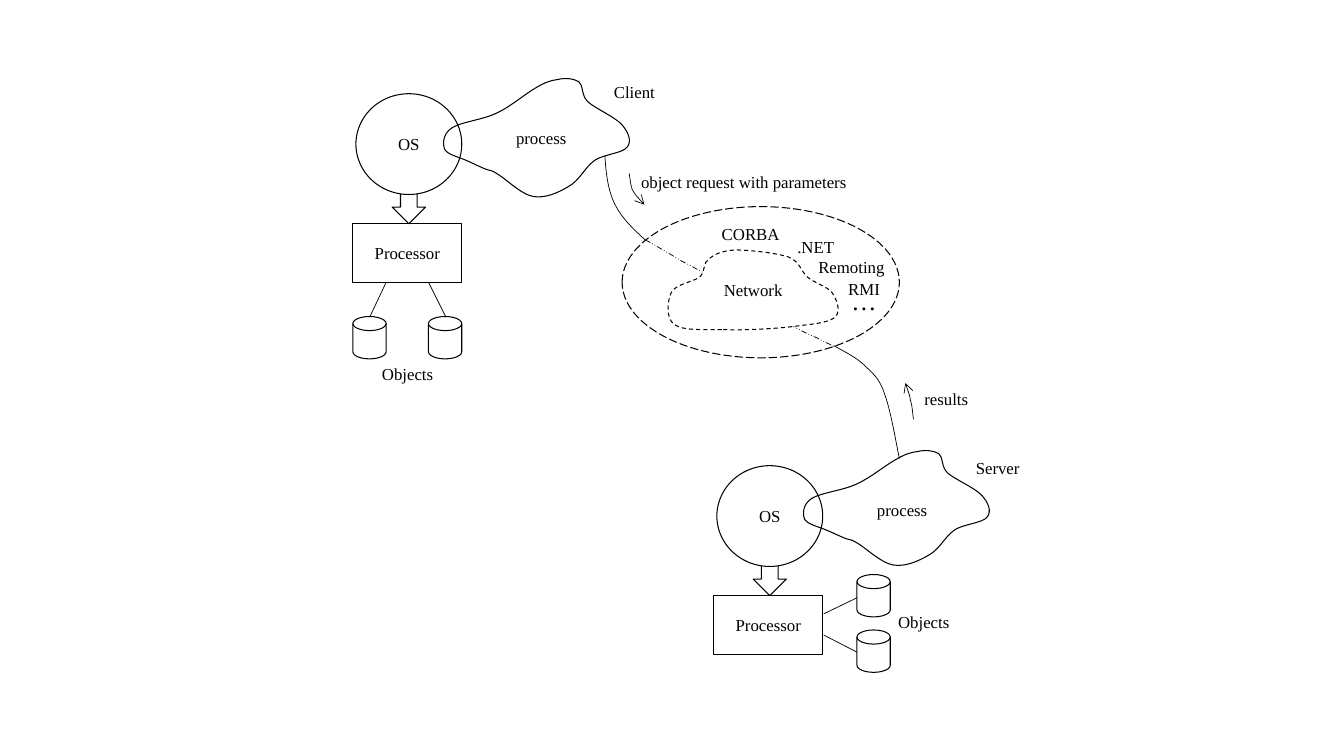
from lxml import etree
from pptx import Presentation
from pptx import util as u
from pptx.dml.color import RGBColor
from pptx.enum import dml, shapes, text
from pptx.oxml.ns import qn

BLACK = RGBColor(0x00, 0x00, 0x00)
WHITE = RGBColor(0xFF, 0xFF, 0xFF)
FONT = "Times New Roman"
CELL = u.Inches(0.1)  # the slide is a grid of 133.3 columns and 75 rows
COLUMNS, ROWS = 133.3, 75
THIN, NORMAL = 0.5, 0.75
KIND = shapes.MSO_SHAPE
DASH = dml.MSO_LINE
CENTER = text.PP_ALIGN.CENTER

# Curves: the start, then two control points and an end for each segment.
PROCESS_CLOUD = [
    (48.2, 16.8), (47.7, 16.6), (46.9, 16.2), (46.2, 15.9),
    (45.5, 15.6), (44.3, 15.3), (44.1, 14.8), (43.9, 14.3), (43.9, 13.3), (44.8, 12.7),
    (45.7, 12.1), (47.9, 11.9), (49.3, 11.2), (50.6, 10.6), (52, 9.4), (53, 8.8),
    (54, 8.2), (54.5, 8), (55.3, 7.9), (56, 7.7), (56.9, 7.8), (57.4, 8.1),
    (57.9, 8.5), (57.6, 9.4), (58.3, 10.1), (59.1, 10.8), (61, 11.6), (61.7, 12.4),
    (62.3, 13.1), (62.7, 14), (62.2, 14.6), (61.8, 15.2), (59.9, 15.3), (59, 15.9),
    (58, 16.6), (57.5, 17.9), (56.4, 18.5), (55.4, 19.1), (54.1, 19.7), (52.9, 19.5),
    (51.7, 19.3), (50.1, 17.7), (49.4, 17.3), (48.6, 16.8), (48.8, 17), (48.2, 16.8),
]
NETWORK_CLOUD = [
    (71.6, 32.7), (69.5, 32.7), (67.7, 32.8), (66.9, 32.2),
    (66, 31.6), (66.2, 29.8), (66.6, 29), (67, 28.2), (68.7, 28), (69.4, 27.5),
    (70, 26.9), (69.7, 26.1), (70.3, 25.7), (70.9, 25.2), (71.6, 24.9), (72.9, 24.8),
    (74.3, 24.8), (77, 25.1), (78.2, 25.5), (79.4, 26), (79.4, 26.9), (80.1, 27.5),
    (80.8, 28.1), (82, 28.4), (82.5, 29), (83, 29.7), (83.4, 30.8), (82.9, 31.4),
    (82.4, 31.9), (81.3, 32.1), (79.4, 32.3), (77.5, 32.6), (73.6, 32.8), (71.6, 32.7),
]
CLIENT_LINK = [(60, 15.5), (60.1, 17.2), (60.3, 18.9), (61, 20.3),
               (61.7, 21.7), (62.9, 22.8), (64.2, 24)]
CLIENT_ENTRY = [(64, 23.8), (65.3, 24.5), (66.6, 25.3), (67.6, 25.9),
                (68.6, 26.4), (69.3, 26.8), (70, 27.2)]
SERVER_ENTRY = [(78.3, 32.2), (79.3, 32.7), (80.2, 33.2), (81, 33.5),
                (81.7, 33.9), (82.2, 34.1), (82.8, 34.4)]
SERVER_LINK = [(82.7, 34.3), (83.8, 34.9), (85, 35.5), (85.8, 36.3), (86.6, 37.1),
               (87.2, 37.5), (87.7, 39), (88.3, 40.6), (88.7, 43), (89.2, 45.5)]
REQUEST_ARROW = [(62.4, 17.2), (62.5, 17.7), (62.5, 18.2), (62.7, 18.8),
                 (63, 19.3), (63.4, 19.8), (63.9, 20.3)]
RESULTS_ARROW = [(90.6, 41.6), (90.5, 40.9), (90.5, 40.3), (90.3, 39.7),
                 (90.2, 39.1), (90, 38.6), (89.8, 38)]


def cells(*counts):
    return [u.Emu(round(count * CELL)) for count in counts]


def write(paragraph, words, size=12):
    run = paragraph.add_run()
    run.text = words
    run.font.name, run.font.size = FONT, u.Pt(size)
    run.font.color.rgb = BLACK


def outline(shape, weight, dash=None):
    shape.line.color.rgb = BLACK
    shape.line.width = u.Pt(weight)
    if dash is not None:
        shape.line.dash_style = dash


def finish(shape, weight=NORMAL, dash=None, filled=True, words=None):
    """Give a closed or open shape its fill, outline and centred words."""
    shape.shadow.inherit = False
    if filled:
        shape.fill.solid()
        shape.fill.fore_color.rgb = WHITE
    else:
        shape.fill.background()
    outline(shape, weight, dash)
    if words:
        shape.text_frame.vertical_anchor = text.MSO_ANCHOR.MIDDLE
        paragraph = shape.text_frame.paragraphs[0]
        paragraph.alignment = CENTER
        write(paragraph, words)


def add_node(slide, kind, column, row, width, height, **look):
    finish(slide.shapes.add_shape(kind, *cells(column, row, width, height)), **look)


def add_label(slide, column, row, *lines, width=8.3, height=3, size=12,
              align=None, indent=0):
    """Add a text box; every line after the first is indented."""
    box = slide.shapes.add_textbox(*cells(column, row, width, height))
    frame = box.text_frame
    frame.word_wrap = True
    frame.auto_size = text.MSO_AUTO_SIZE.SHAPE_TO_FIT_TEXT
    for number, words in enumerate(lines):
        paragraph = frame.add_paragraph() if number else frame.paragraphs[0]
        paragraph.alignment = align
        if number and indent:
            paragraph._p.get_or_add_pPr().set("marL", str(u.Pt(indent)))
        write(paragraph, words, size)


def add_curve(slide, points, arrow=False, **look):
    """Add a Bézier outline, closed where it ends on its start."""
    start, *others = [cells(*point) for point in points]
    builder = slide.shapes.build_freeform(*start, scale=1.0)
    builder.add_line_segments(others, close=points[0] == points[-1])
    curve = builder.convert_to_shape()
    steps = list(curve._element.iter(qn("a:lnTo")))
    for first in range(0, len(steps), 3):
        bezier = etree.Element(qn("a:cubicBezTo"))
        steps[first].addprevious(bezier)
        for step in steps[first:first + 3]:
            bezier.append(step[0])
            step.getparent().remove(step)
    finish(curve, **look)
    if arrow:
        ln = curve.line._get_or_add_ln()
        etree.SubElement(ln, qn("a:tailEnd"), type="arrow")


def add_wire(slide, *ends):
    wire = slide.shapes.add_connector(shapes.MSO_CONNECTOR.STRAIGHT, *cells(*ends))
    outline(wire, THIN)
    etree.SubElement(wire._element.spPr, qn("a:effectLst"))


def add_computer(slide, column, row, cloud, disks, wires):
    """Add a processor at column and row with its OS, process and object stores."""
    add_node(slide, KIND.RECTANGLE, column, row, 10.8, 5.8, words="Processor")
    for disk in disks:
        add_node(slide, KIND.FLOWCHART_MAGNETIC_DISK, *disk, 3.3, 4.2)
    for wire in wires:
        add_wire(slide, *wire)
    add_node(slide, KIND.DOWN_ARROW, column + 3.9, row - 3.3, 3.3, 3.3)
    add_node(slide, KIND.OVAL, column + 0.3, row - 12.9, 10.5, 10, words="OS")
    add_curve(slide, cloud, filled=False)
    add_label(slide, column + 15.2, row - 10, "process")


def add_network(slide):
    add_node(slide, KIND.OVAL, 61.7, 20.5, 27.5, 15, dash=DASH.LONG_DASH)
    add_label(slide, 78.1, 23, ".NET", "Remoting", width=12.7, height=5.1, indent=15)
    add_label(slide, 82.7, 27.2, "RMI", width=6, align=CENTER)
    add_label(slide, 82.7, 27.8, "…", width=6, height=4, size=18, align=CENTER)
    add_label(slide, 70.6, 21.7, "CORBA")
    for entry in (CLIENT_ENTRY, SERVER_ENTRY):
        add_curve(slide, entry, weight=THIN, dash=DASH.DASH_DOT_DOT, filled=False)
    add_curve(slide, NETWORK_CLOUD, dash=DASH.DASH, words="Network")


def main():
    deck = Presentation()
    deck.slide_width, deck.slide_height = cells(COLUMNS, ROWS)
    slide = deck.slides.add_slide(deck.slide_layouts[6])

    add_computer(slide, 35, 22.2, PROCESS_CLOUD,
                 disks=[(35, 31.4), (42.5, 31.4)],
                 wires=[(42.5, 28, 44.2, 31.4), (38.3, 28, 36.7, 31.4)])
    add_label(slide, 59.9, 7.6, "Client")
    add_label(slide, 36.9, 35.6, "Objects")

    add_curve(slide, REQUEST_ARROW, arrow=True, weight=THIN, filled=False)
    add_label(slide, 62.6, 16.5, "object request with parameters", width=23.3)
    add_curve(slide, CLIENT_LINK, weight=THIN, filled=False)
    add_network(slide)
    add_curve(slide, SERVER_LINK, weight=THIN, filled=False)
    add_curve(slide, RESULTS_ARROW, arrow=True, weight=THIN, filled=False)
    add_label(slide, 90.7, 38.1, "results")

    server_cloud = [(x + 35.7, 44.8 + (y - 7.9) * 0.97) for x, y in PROCESS_CLOUD]
    add_computer(slide, 70.8, 59.1, server_cloud,
                 disks=[(85, 62.5), (85, 57)],
                 wires=[(85, 59.3, 81.7, 60.9), (85, 64.7, 81.7, 63)])
    add_label(slide, 95.8, 44.9, "Server")
    add_label(slide, 88.1, 60.2, "Objects")
    deck.save("out.pptx")


if __name__ == "__main__":
    main()
